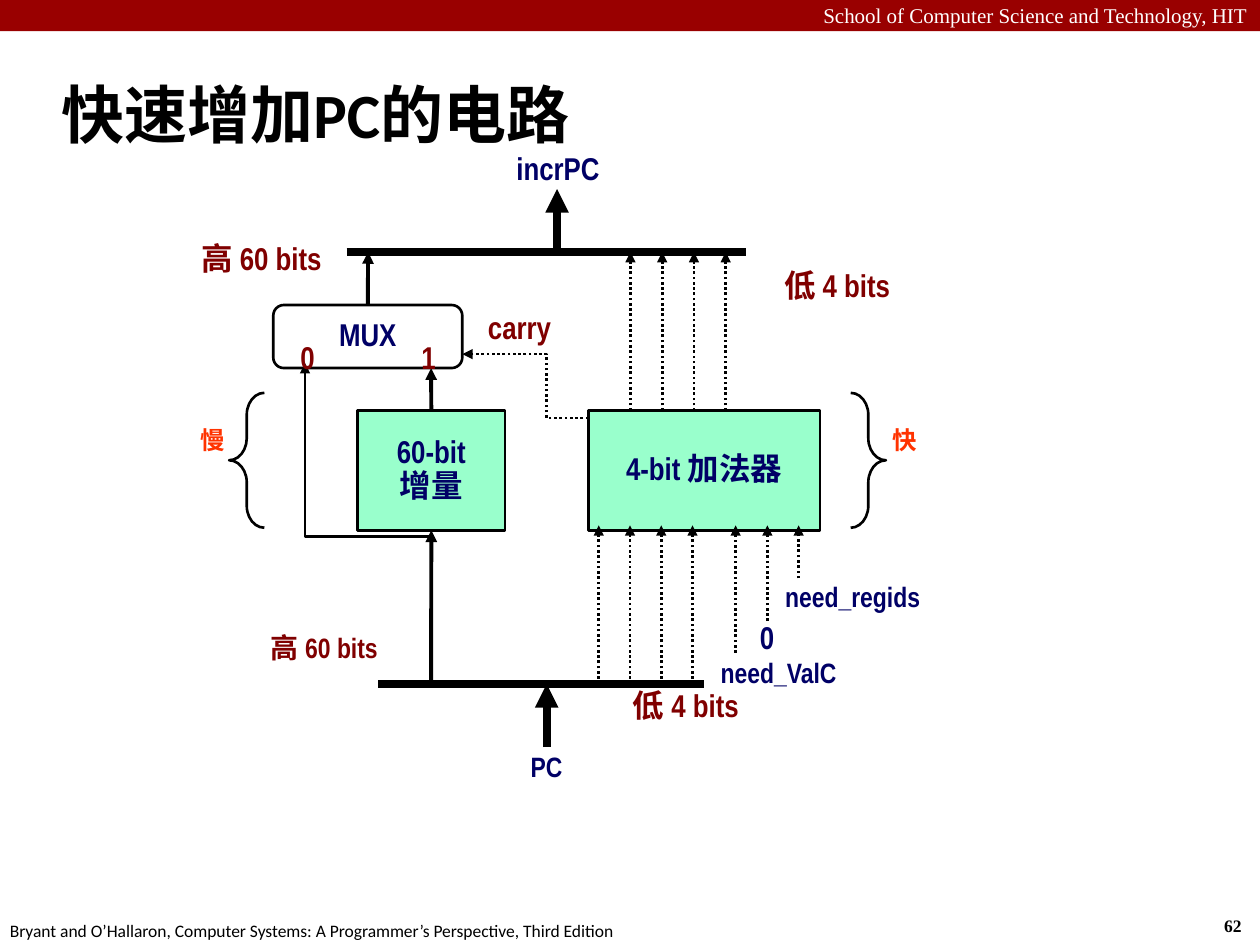
from lxml import etree
from pptx import Presentation
from pptx.dml.color import RGBColor
from pptx.enum.dml import MSO_LINE
from pptx.enum.shapes import MSO_CONNECTOR, MSO_SHAPE
from pptx.enum.text import MSO_ANCHOR, PP_ALIGN
from pptx.oxml.ns import qn
from pptx.util import Cm, Pt

DOT = MSO_LINE.ROUND_DOT
STRAIGHT = MSO_CONNECTOR.STRAIGHT
RECT, ROUND_RECT = MSO_SHAPE.RECTANGLE, MSO_SHAPE.ROUNDED_RECTANGLE
LEFT_BRACE, RIGHT_BRACE = MSO_SHAPE.LEFT_BRACE, MSO_SHAPE.RIGHT_BRACE
LEFT, CENTER, RIGHT = PP_ALIGN.LEFT, PP_ALIGN.CENTER, PP_ALIGN.RIGHT
TOP, MIDDLE = MSO_ANCHOR.TOP, MSO_ANCHOR.MIDDLE

COLORS = {
    "black": "000000", "white": "FFFFFF", "banner": "990000", "green": "99FFCC",
    "navy": "000066", "maroon": "800000", "orange": "FF3300",
}
SERIF, SANS, NARROW = "Times New Roman", "Calibri", "Arial Narrow"
UPPER_BAR, LOWER_BAR = 5.08, 13.79
BLOCK_TOP, BLOCK_HEIGHT, ARROW_END = 8.28, 2.41, 10.59
HIGH_X = 8.69


def rgb(name):
    return RGBColor.from_string(COLORS[name])


def write(sp, text, size=18, font=NARROW, color="navy", bold=True, align=CENTER,
          anchor=TOP, wrap=True, spacing=0.9, inset=0.13):
    tf = sp.text_frame
    tf.word_wrap = wrap
    tf.vertical_anchor = anchor
    tf.margin_left = tf.margin_right = Cm(inset)
    tf.margin_top = tf.margin_bottom = Cm(0.13)
    for i, line in enumerate(text.split("\n")):
        p = tf.paragraphs[0] if i == 0 else tf.add_paragraph()
        p.alignment = align
        p.line_spacing = spacing
        r = p.add_run()
        r.text = line
        r.font.size = Pt(size)
        r.font.name = font
        r.font.bold = bold
        r.font.color.rgb = rgb(color)


def label(s, box, text, **fmt):
    write(s.shapes.add_textbox(*map(Cm, box)), text, **fmt)


def shape(s, kind, box, fill=None, line="black"):
    sp = s.shapes.add_shape(kind, *map(Cm, box))
    sp.shadow.inherit = False
    if fill:
        sp.fill.solid()
        sp.fill.fore_color.rgb = rgb(fill)
    else:
        sp.fill.background()
    if line:
        sp.line.color.rgb = rgb(line)
        sp.line.width = Pt(1.5)
    else:
        sp.line.fill.background()
    return sp


def block(s, kind, box, text, fill=None):
    sp = shape(s, kind, box, fill)
    write(sp, text, anchor=MIDDLE, wrap=False)
    return sp


def style_line(sp, width, dash, arrow):
    sp.line.color.rgb = rgb("black")
    sp.line.width = Pt(width)
    if dash:
        sp.line.dash_style = dash
    if arrow:
        ln = sp._element.spPr.find(qn("a:ln"))
        etree.SubElement(ln, qn("a:tailEnd"), type="triangle")


def wire(s, x1, y1, x2, y2, width=1.5, dash=None, arrow=True):
    c = s.shapes.add_connector(STRAIGHT, Cm(x1), Cm(y1), Cm(x2), Cm(y2))
    style_line(c, width, dash, arrow)
    etree.SubElement(c._element.spPr, qn("a:effectLst"))
    return c


def bent_wire(s, points, dash=None):
    points = [(Cm(x), Cm(y)) for x, y in points]
    fb = s.shapes.build_freeform(*points[0])
    fb.add_line_segments(points[1:], close=False)
    sp = fb.convert_to_shape()
    sp.shadow.inherit = False
    sp.fill.background()
    style_line(sp, 1.5, dash, True)


def brace(s, kind, x):
    sp = shape(s, kind, (x, 7.92, 0.71, 2.72))
    sp.adjustments[0] = 0.625


def add_frame(s):
    shape(s, RECT, (0, 0, 25.4, 0.63), "banner", None)
    plain = dict(spacing=1, inset=0.25)
    label(s, (0, -0.08, 25.4, 0.76), "School of Computer Science and Technology, HIT",
          size=12, font=SERIF, color="white", bold=False, align=RIGHT, **plain)
    label(s, (24.43, 18.31, 0.94, 0.69), "62", size=10, font=SERIF, color="black",
          align=LEFT, wrap=False, **plain)
    label(s, (-0.05, 18.42, 12.9, 0.69),
          "Bryant and O’Hallaron, Computer Systems: A Programmer’s Perspective, Third Edition",
          size=10, font=SANS, color="black", bold=False, align=LEFT, wrap=False, **plain)
    label(s, (0.99, 1.24, 21.08, 2.11), "快速增加PC的电路", size=36, font=SANS,
          color="black", align=LEFT, anchor=MIDDLE, **plain)


def add_circuit(s):
    block(s, RECT, (11.86, BLOCK_TOP, 4.67, BLOCK_HEIGHT), "4-bit 加法器", "green")
    incrementer = block(s, RECT, (7.21, BLOCK_TOP, 2.97, BLOCK_HEIGHT),
                        "60-bit\n增量", "green")
    mux = block(s, ROUND_RECT, (5.51, 6.15, 3.81, 1.27), "MUX")

    for i in range(4):
        x_in, x_out = 12.07 + 0.63 * i, 12.71 + 0.64 * i
        wire(s, x_in, LOWER_BAR, x_in, ARROW_END, dash=DOT)
        wire(s, x_out, BLOCK_TOP, x_out, UPPER_BAR, dash=DOT)
    for x, start in ((14.83, 13.16), (15.47, 12.52), (16.1, 11.66)):
        wire(s, x, start, x, ARROW_END, dash=DOT)

    pc_high = wire(s, HIGH_X, LOWER_BAR, HIGH_X, ARROW_END, 2.25)
    pc_high.end_connect(incrementer, 2)
    incremented = wire(s, HIGH_X, BLOCK_TOP, HIGH_X, 7.42, 2.25)
    incremented.begin_connect(incrementer, 0)
    mux_out = wire(s, 7.42, 6.15, 7.42, UPPER_BAR, 2.25)
    mux_out.begin_connect(mux, 0)

    bent_wire(s, [(HIGH_X, 10.82), (6.15, 10.82), (6.15, 7.32)])
    bent_wire(s, [(11.86, 8.43), (11.02, 8.43), (11.02, 7.14), (9.32, 7.14)], DOT)

    wire(s, 7.62, LOWER_BAR, 14.2, LOWER_BAR, 4.5, arrow=False)
    wire(s, 6.99, UPPER_BAR, 15.04, UPPER_BAR, 4.5, arrow=False)
    wire(s, 11.02, 15.06, 11.02, LOWER_BAR, 4.5)
    wire(s, 11.23, UPPER_BAR, 11.23, 3.81, 4.5)
    brace(s, LEFT_BRACE, 4.62)
    brace(s, RIGHT_BRACE, 17.15)


def add_labels(s):
    label(s, (14.4, 13.16, 3.12, 0.86), "need_ValC", size=16, align=LEFT)
    label(s, (15.7, 11.63, 3.61, 0.86), "need_regids", size=16, align=LEFT)
    label(s, (15.16, 12.42, 0.61, 0.94), "0")
    label(s, (9.32, 15.06, 3.4, 0.86), "PC", size=16)
    label(s, (9.55, 2.97, 3.4, 0.94), "incrPC")
    label(s, (5.03, 12.65, 3.02, 0.86), "高 60 bits", size=16, color="maroon")
    label(s, (3.76, 4.78, 3.02, 0.94), "高 60 bits", color="maroon")
    for x, y in ((12.62, 13.79), (15.67, 5.31)):
        label(s, (x, y, 2.41, 0.94), "低 4 bits", color="maroon")
    for x, text in ((5.92, "0"), (8.36, "1")):
        label(s, (x, 6.78, 0.56, 0.94), text, color="maroon")
    label(s, (9.7, 6.17, 1.55, 0.94), "carry", color="maroon", wrap=False)
    for x, text, align in ((2.59, "慢", RIGHT), (17.86, "快", LEFT)):
        label(s, (x, 8.51, 2.08, 1.96), text, size=14, color="orange", align=align)


def main():
    prs = Presentation()
    prs.slide_width, prs.slide_height = Cm(25.4), Cm(19.05)
    s = prs.slides.add_slide(prs.slide_layouts[6])
    add_frame(s)
    add_circuit(s)
    add_labels(s)
    prs.save("out.pptx")


if __name__ == "__main__":
    main()
